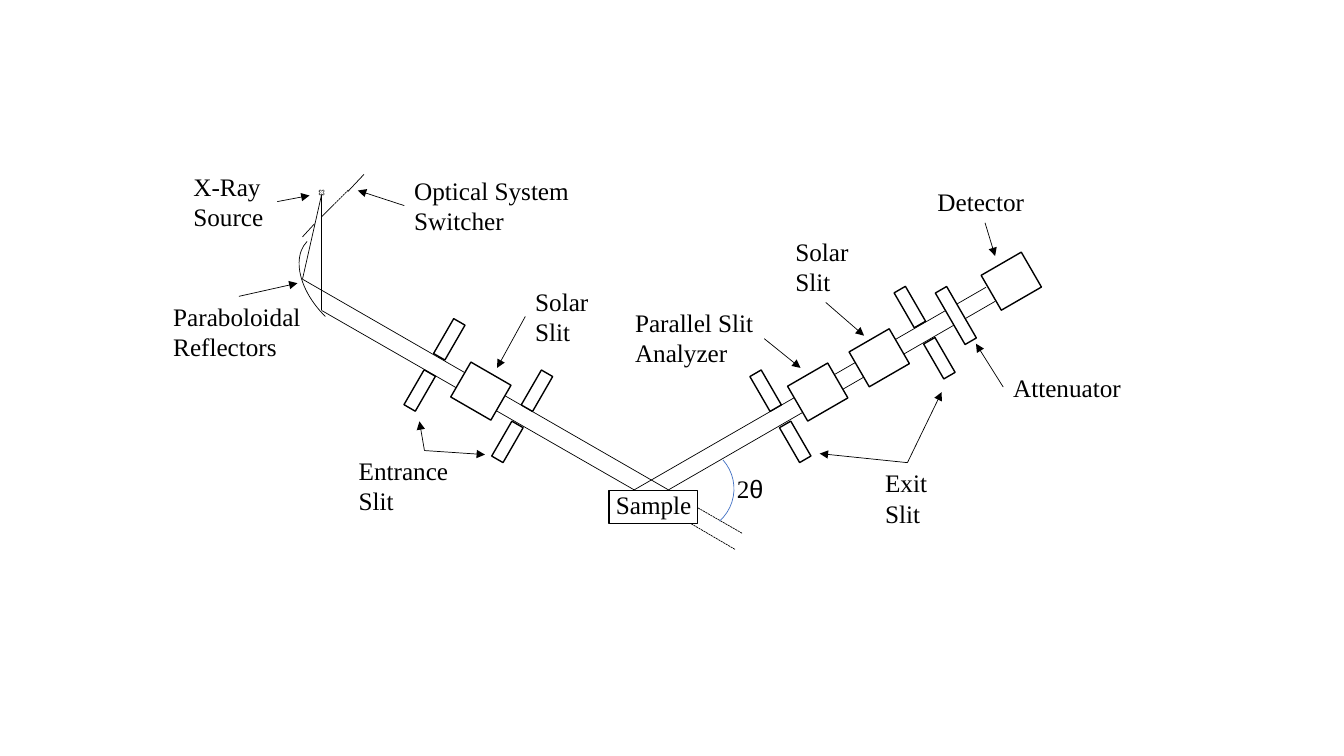
from math import cos, radians, sin

from lxml.etree import SubElement
from pptx import Presentation
from pptx.dml.color import RGBColor
from pptx.enum.dml import MSO_LINE
from pptx.enum.shapes import MSO_CONNECTOR, MSO_SHAPE
from pptx.enum.text import MSO_AUTO_SIZE
from pptx.oxml.ns import qn
from pptx.util import Inches, Pt

BLACK, WHITE, BLUE = "000000", "FFFFFF", "4472C4"
TILT = 60  # slits and optics stand square to beams inclined at 30 degrees


def rgb(value):
    return RGBColor.from_string(value)


class Diagram:
    font, size, thin, thick = "Times New Roman", 18, 0.5, 1

    def __init__(self, slide):
        self.slide = slide

    def line(self, start, end, dashed=False, arrow=False):
        c = self.slide.shapes.add_connector(
            MSO_CONNECTOR.STRAIGHT, *map(Inches, (*start, *end)))
        c.line.color.rgb = rgb(BLACK)
        c.line.width = Pt(self.thin)
        if dashed:
            c.line.dash_style = MSO_LINE.SQUARE_DOT
        sp_pr = c._element.spPr
        if arrow:
            SubElement(sp_pr.find(qn("a:ln")), qn("a:tailEnd"), type="triangle")
        SubElement(sp_pr, qn("a:effectLst"))

    def shape(self, kind, center, width, height, angle=0,
              fill=None, color=BLACK, weight=thin):
        x, y = center
        sp = self.slide.shapes.add_shape(kind, *map(
            Inches, (x - width / 2, y - height / 2, width, height)))
        sp.rotation = angle
        sp.shadow.inherit = False
        if fill:
            sp.fill.solid()
            sp.fill.fore_color.rgb = rgb(fill)
        else:
            sp.fill.background()
        sp.line.color.rgb = rgb(color)
        sp.line.width = Pt(weight)

    def block(self, center, width=0.4, height=0.46, angle=TILT):
        self.shape(MSO_SHAPE.RECTANGLE, center, width, height, angle,
                   WHITE, weight=self.thick)

    def slit(self, center, angle):
        """Two blades on either side of the beam at center."""
        x, y = center
        dx, dy = 0.293 * cos(radians(angle)), 0.293 * sin(radians(angle))
        for side in (-1, 1):
            self.block((x + side * dx, y + side * dy), 0.4, 0.13, angle)

    def label(self, left, top, width, *lines):
        box = self.slide.shapes.add_textbox(*map(
            Inches, (left, top, width, 0.4 if len(lines) == 1 else 0.71)))
        tf = box.text_frame
        tf.word_wrap = True
        tf.auto_size = MSO_AUTO_SIZE.SHAPE_TO_FIT_TEXT
        tf.text = "\n".join(lines)
        for p in tf.paragraphs:
            p.font.name, p.font.size = self.font, Pt(self.size)
            p.font.color.rgb = rgb(BLACK)
        return tf


BEAMS = [
    ((6.29, 4.86), (9.78, 2.85)), ((6.63, 4.86), (9.87, 2.99)),
    ((6.29, 4.86), (3.19, 3.08)), ((6.63, 4.86), (3, 2.77)),
    ((3.19, 3.08), (3.19, 1.93)), ((3, 2.77), (3.19, 1.93)),
]
TRANSMITTED = [((7.29, 5.45), (6.52, 5)), ((7.36, 5.29), (6.75, 4.94))]
SWITCHER = [((3, 2.35), (3.12, 2.22)), ((3.19, 2.15), (3.3, 2.04)),
            ((3.45, 1.9), (3.61, 1.73))]
SLITS = [((4.31, 3.62), -TILT), ((5.18, 4.13), -TILT),
         ((7.74, 4.13), TILT), ((9.17, 3.3), TILT)]
PARALLEL_ANALYZER, EXIT_SOLAR, DETECTOR = (8.11, 3.89), (8.72, 3.55), (10.03, 2.79)
ENTRANCE_SOLAR = (4.77, 3.88)

# left, top, width, lines, arrow start, arrow tips
LABELS = [
    (1.62, 2.94, 1.5, ["Paraboloidal", "Reflectors"], (2.37, 2.94), [(2.95, 2.81)]),
    (3.46, 4.47, 1.5, ["Entrance", "Slit"], (4.21, 4.47), [(4.16, 4.18), (4.81, 4.51)]),
    (5.21, 2.79, 1.5, ["Solar", "Slit"], (5.21, 3.14), [(4.93, 3.65)]),
    (8.68, 4.59, 0.65, ["Exit", "Slit"], (9, 4.59), [(9.34, 3.89), (8.13, 4.5)]),
    (1.82, 1.65, 0.93, ["X-Ray", "Source"], (2.75, 2), [(3.07, 1.94)]),
    (6.2, 3, 1.38, ["Parallel Slit", "Analyzer"], (7.58, 3.36), [(7.94, 3.65)]),
    (7.79, 2.29, 0.82, ["Solar", "Slit"], (8.19, 3), [(8.57, 3.33)]),
    (9.95, 3.64, 1.41, ["Attenuator"], (9.95, 3.84), [(9.68, 3.41)]),
    (9.2, 1.8, 1.13, ["Detector"], (9.77, 2.21), [(9.87, 2.54)]),
    (4.01, 1.69, 1.89, ["Optical System", "Switcher"], (4.01, 2.04), [(3.55, 1.89)]),
]


def main():
    prs = Presentation()
    prs.slide_width, prs.slide_height = Inches(13.33), Inches(7.5)
    d = Diagram(prs.slides.add_slide(prs.slide_layouts[6]))

    for start, end in TRANSMITTED:
        d.line(start, end, dashed=True)
    d.block((6.48, 5.03), 0.88, 0.33, angle=0)
    d.label(6.01, 4.81, 1.89, "Sample")
    for start, end in BEAMS:
        d.line(start, end)

    for center, angle in SLITS:
        d.slit(center, angle)
    for center in (PARALLEL_ANALYZER, EXIT_SOLAR, DETECTOR):
        d.block(center)
    d.block(ENTRANCE_SOLAR, angle=-TILT)
    d.block((9.48, 3.13), 0.59, 0.13)  # attenuator

    d.shape(MSO_SHAPE.ARC, (3.51, 2.85), 1.3, 0.81, 224.4)  # reflectors
    d.shape(MSO_SHAPE.MATH_MULTIPLY, (3.19, 1.91), 0.08, 0.08, weight=0.25)
    for start, end in SWITCHER:
        d.line(start, end)
    d.line((3.3, 2.04), (3.46, 1.88), dashed=True)

    for left, top, width, lines, start, tips in LABELS:
        d.label(left, top, width, *lines)
        for tip in tips:
            d.line(start, tip, arrow=True)

    d.shape(MSO_SHAPE.ARC, (6.85, 4.85), 0.86, 0.86, 48.1, color=BLUE)
    p = d.label(7.21, 4.65, 0.65, "2").paragraphs[0]
    r = p.add_run()
    r.text, r.font.name = "θ", "Arial"

    prs.save("out.pptx")


if __name__ == "__main__":
    main()
